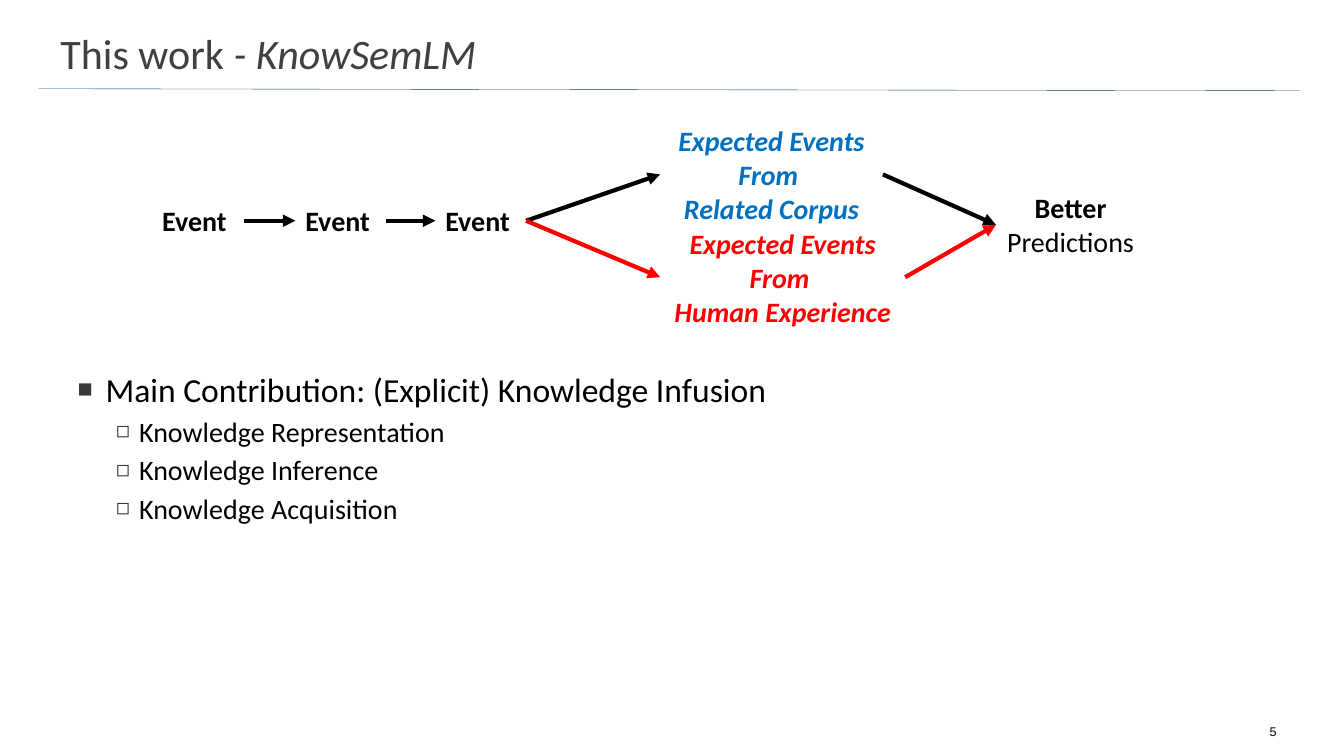
from lxml.etree import SubElement as Sub
from pptx import Presentation
from pptx.dml.color import RGBColor as RGB
from pptx.enum.shapes import MSO_CONNECTOR as Conn
from pptx.enum.text import MSO_ANCHOR as Anchor, MSO_AUTO_SIZE as Fit, PP_ALIGN as Align
from pptx.oxml.ns import qn
from pptx.util import Pt

HUES = {"ink": "000000", "title": "404040", "rule": "093D6E",
        "blue": "0070C0", "red": "FF0000", "mark": "3B3838"}


def style(para, size, hue, bold=False, slant=False, face="Calibri"):
    for run in para.runs:
        font = run.font
        font.name, font.size = face, Pt(size)
        font.bold, font.italic = bold, slant
        font.color.rgb = RGB.from_string(HUES[hue])


def draw(ends, hue, width, head=True):
    line = slide.shapes.add_connector(Conn.STRAIGHT, *[Pt(n) for n in ends])
    line.line.color.rgb = RGB.from_string(HUES[hue])
    line.line.width = Pt(width)
    if head:
        Sub(line.line._get_or_add_ln(), qn("a:tailEnd"), type="triangle")
    Sub(line._element.spPr, qn("a:effectLst"))


deck = Presentation()
deck.slide_width, deck.slide_height = Pt(960), Pt(540)
slide = deck.slides.add_slide(deck.slide_layouts[1])
draw((27.4, 63.4, 928.8, 64.8), "rule", 0.25, False)

title = slide.shapes.title
title.left, title.top, title.width, title.height = Pt(36), Pt(16.6), Pt(778), Pt(41.8)
frame = title.text_frame
frame.auto_size, frame.vertical_anchor = Fit.NONE, Anchor.MIDDLE
para = frame.paragraphs[0]
para.alignment = Align.LEFT
for text in ("This work ", "- KnowSemLM"):
    para.add_run().text = text
style(para, 30, "title")
para.runs[1].font.italic = True

body = slide.placeholders[1]
body.left, body.top, body.width, body.height = Pt(48.2), Pt(260), Pt(864), Pt(191)
frame = body.text_frame
frame.auto_size = Fit.NONE
frame.text = "\n".join(["Main Contribution: (Explicit) Knowledge Infusion",
                        "Knowledge Representation", "Knowledge Inference",
                        "Knowledge Acquisition"])
for row, para in enumerate(frame.paragraphs):
    level = min(row, 1)
    left, hang, mark, scale, size = [(20, 20, "■", 75, 24), (44, 16.5, "◻", 80, 20)][level]
    para.level = level
    prop = para._p.get_or_add_pPr()
    prop.set("marL", str(Pt(left)))
    prop.set("indent", str(-Pt(hang)))
    Sub(Sub(prop, qn("a:buClr")), qn("a:srgbClr"), val=HUES["mark"])
    Sub(prop, qn("a:buSzPct"), val=str(scale * 1000))
    Sub(prop, qn("a:buChar"), char=mark)
    para.space_before = Pt(3.5 * level)
    style(para, size, "ink")

labels = [
    ("Event", 108.7, 141.8, 64.8, 31.5, "ink", True, False, Align.LEFT),
    ("Event", 211, 141.8, 64.8, 31.5, "ink", True, False, Align.LEFT),
    ("Event", 311, 141.8, 64.8, 31.5, "ink", True, False, Align.LEFT),
    ("Expected Events\nFrom \nRelated Corpus", 471.6, 85, 159, 80, "blue", True, True, Align.CENTER),
    ("Expected Events\nFrom \nHuman Experience", 471.6, 158.6, 175, 80, "red", True, True, Align.CENTER),
    ("Better", 711.4, 132.5, 106.6, 31.5, "ink", True, False, Align.CENTER),
    ("Predictions", 711.4, 156.5, 106.6, 31.5, "ink", False, False, Align.CENTER),
    ("5", 889.2, 513.4, 40.3, 18, "ink", False, False, Align.CENTER),
]
for text, left, top, width, height, hue, bold, slant, align in labels:
    box = slide.shapes.add_textbox(Pt(left), Pt(top), Pt(width), Pt(height))
    frame = box.text_frame
    frame.word_wrap = True
    frame.text = text
    page = text == "5"
    frame.vertical_anchor = Anchor.BOTTOM if page else Anchor.TOP
    for para in frame.paragraphs:
        para.alignment = align
        style(para, 9 if page else 20, hue, bold, slant, "Arial" if page else "Calibri")

arrows = [
    (174.2, 157.7, 211, 157.7, "ink"),
    (275.8, 157.7, 311, 157.7, "ink"),
    (375.8, 157.7, 471.6, 124.6, "ink"),
    (375.8, 157.7, 471.6, 198, "red"),
    (630.7, 124.6, 711.4, 160.6, "ink"),
    (646.6, 198, 711.4, 160.6, "red"),
]
for *ends, hue in arrows:
    draw(ends, hue, 3)

deck.save("out.pptx")
